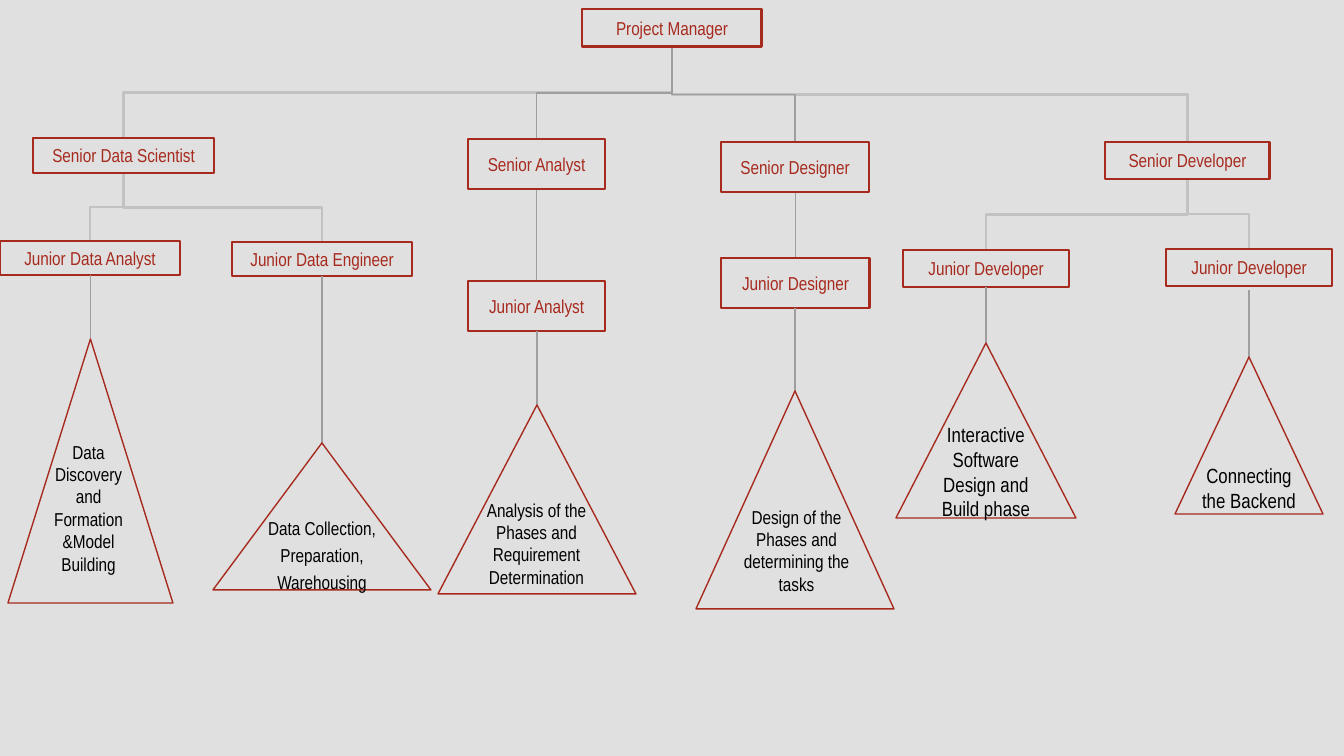
from dataclasses import dataclass

from lxml import etree
from pptx import Presentation
from pptx.dml.color import RGBColor
from pptx.enum import shapes, text
from pptx.oxml.ns import qn
from pptx.util import Inches, Pt

PX = 914400 / 134.4
SLIDE_SIZE = (1344, 756)


@dataclass(frozen=True)
class Theme:
    background: str = "E0E0E0"
    accent: str = "A72A1E"
    ink: str = "000000"
    light_link: str = "C2C2C2"
    dark_link: str = "9E9E9E"
    font: str = "Arial Narrow"
    body: int = 10
    large: int = 11
    thick: float = 1.5
    thin: float = 0.75
    inset: float = 0.1


THEME = Theme()
MIDDLE, TOP = text.MSO_ANCHOR.MIDDLE, text.MSO_ANCHOR.TOP

# key: (title, (left, top, width, height), vertical anchor)
ROLES = {
    "manager": ("Project Manager", (582, 9, 180, 38), MIDDLE),
    "scientist": ("Senior Data Scientist", (33, 138, 181, 35), MIDDLE),
    "senior analyst": ("Senior Analyst", (468, 139, 137, 50), TOP),
    "senior designer": ("Senior Designer", (721, 142, 148, 50), TOP),
    "senior developer": ("Senior Developer", (1105, 142, 165, 37), MIDDLE),
    "data analyst": ("Junior Data Analyst", (0, 241, 180, 34), MIDDLE),
    "data engineer": ("Junior Data Engineer", (232, 242, 180, 34), MIDDLE),
    "analyst": ("Junior Analyst", (468, 281, 137, 50), TOP),
    "designer": ("Junior Designer", (721, 258, 149, 50), TOP),
    "front developer": ("Junior Developer", (903, 250, 166, 37), MIDDLE),
    "back developer": ("Junior Developer", (1166, 249, 166, 37), MIDDLE),
}

# (upper role, lower role, colour, width)
LIGHT = (THEME.light_link, THEME.thick)
DARK = (THEME.dark_link, THEME.thin)
REPORTING = [
    ("manager", "senior developer", *LIGHT),
    ("manager", "scientist", *LIGHT),
    ("scientist", "data engineer", *LIGHT),
    ("scientist", "data analyst", *LIGHT),
    ("senior developer", "back developer", *LIGHT),
    ("senior developer", "front developer", *LIGHT),
    ("manager", "senior analyst", *DARK),
    ("manager", "senior designer", *DARK),
    ("senior analyst", "analyst", *DARK),
    ("senior designer", "designer", *DARK),
]

# (role, paragraphs, triangle box, text box, type size, line spacing, gap under role)
TASKS = [
    ("data analyst", ["Data Discovery and Formation", "&Model Building"],
     (8, 339, 165, 264), (38, 427, 101, 163), THEME.body, None, 0),
    ("data engineer", ["Data Collection, Preparation, Warehousing"],
     (213, 443, 218, 147), (254, 499, 136, 103), THEME.body, 1.2, 0),
    ("analyst", ["Analysis of the Phases and Requirement Determination"],
     (438, 405, 198, 189), (454, 485, 165, 140), THEME.body, None, 0),
    ("designer", ["Design of the Phases and determining the tasks"],
     (696, 391, 198, 218), (714, 492, 165, 118), THEME.body, None, 0),
    ("front developer", ["Interactive Software Design and Build phase"],
     (896, 343, 180, 175), (927, 409, 118, 126), THEME.large, None, 0),
    ("back developer", ["Connecting the Backend"],
     (1175, 357, 148, 157), (1183, 450, 132, 99), THEME.large, None, 4),
]


def emu(*lengths):
    return [round(length * PX) for length in lengths]


def rgb(colour):
    return RGBColor.from_string(colour)


def write(holder, paragraphs, *, size=THEME.body, colour=THEME.ink, anchor=TOP, spacing=None):
    frame = holder.text_frame
    frame.word_wrap = True
    frame.vertical_anchor = anchor
    frame.margin_left = frame.margin_right = Inches(THEME.inset)
    frame.margin_top = frame.margin_bottom = Inches(THEME.inset)
    frame.text = "\n".join(paragraphs)
    for paragraph in frame.paragraphs:
        paragraph.alignment = text.PP_ALIGN.CENTER
        if spacing:
            paragraph.line_spacing = spacing
        font = paragraph.runs[0].font
        font.name, font.size = THEME.font, Pt(size)
        font.color.rgb = rgb(colour)


def outline(slide, kind, box, width, fill=None):
    shape = slide.shapes.add_shape(kind, *emu(*box))
    shape.shadow.inherit = False
    if fill:
        shape.fill.solid()
        shape.fill.fore_color.rgb = rgb(fill)
    else:
        shape.fill.background()
    shape.line.color.rgb = rgb(THEME.accent)
    shape.line.width = Pt(width)
    return shape


def link(slide, upper, lower, colour, width, gap=0):
    """Join the bottom centre of one box to the top centre of another."""
    x1, y1 = upper[0] + upper[2] / 2, upper[1] + upper[3] + gap
    x2, y2 = lower[0] + lower[2] / 2, lower[1]
    if abs(x2 - x1) < 2:
        line = slide.shapes.add_connector(shapes.MSO_CONNECTOR.STRAIGHT, *emu(x2, y1, x2, y2))
    else:
        # An elbow leaves sideways, so lay it on its side and turn it upright.
        mid_x, mid_y = (x1 + x2) / 2, (y1 + y2) / 2
        reach, half_span = (y2 - y1) / 2, abs(x2 - x1) / 2
        to_right = x2 > x1
        if to_right:
            reach = -reach
        line = slide.shapes.add_connector(
            shapes.MSO_CONNECTOR.ELBOW,
            *emu(mid_x - reach, mid_y - half_span, mid_x + reach, mid_y + half_span))
        degrees = 270 if to_right else 90
        line._element.spPr.find(qn("a:xfrm")).set("rot", str(degrees * 60000))
    line.line.color.rgb = rgb(colour)
    line.line.width = Pt(width)
    etree.SubElement(line._element.spPr, qn("a:effectLst"))


def main():
    deck = Presentation()
    deck.slide_width, deck.slide_height = emu(*SLIDE_SIZE)
    slide = deck.slides.add_slide(deck.slide_layouts[6])
    slide.background.fill.solid()
    slide.background.fill.fore_color.rgb = rgb(THEME.background)

    for upper, lower, colour, width in REPORTING:
        link(slide, ROLES[upper][1], ROLES[lower][1], colour, width)

    for title, box, anchor in ROLES.values():
        role = outline(slide, shapes.MSO_SHAPE.RECTANGLE, box, THEME.thick)
        write(role, [title], colour=THEME.accent, anchor=anchor)

    for role, paragraphs, triangle, label_box, size, spacing, gap in TASKS:
        link(slide, ROLES[role][1], triangle, *DARK, gap=gap)
        outline(slide, shapes.MSO_SHAPE.ISOSCELES_TRIANGLE, triangle, THEME.thin, THEME.background)
        label = slide.shapes.add_textbox(*emu(*label_box))
        write(label, paragraphs, size=size, spacing=spacing)

    deck.save("out.pptx")


if __name__ == "__main__":
    main()
